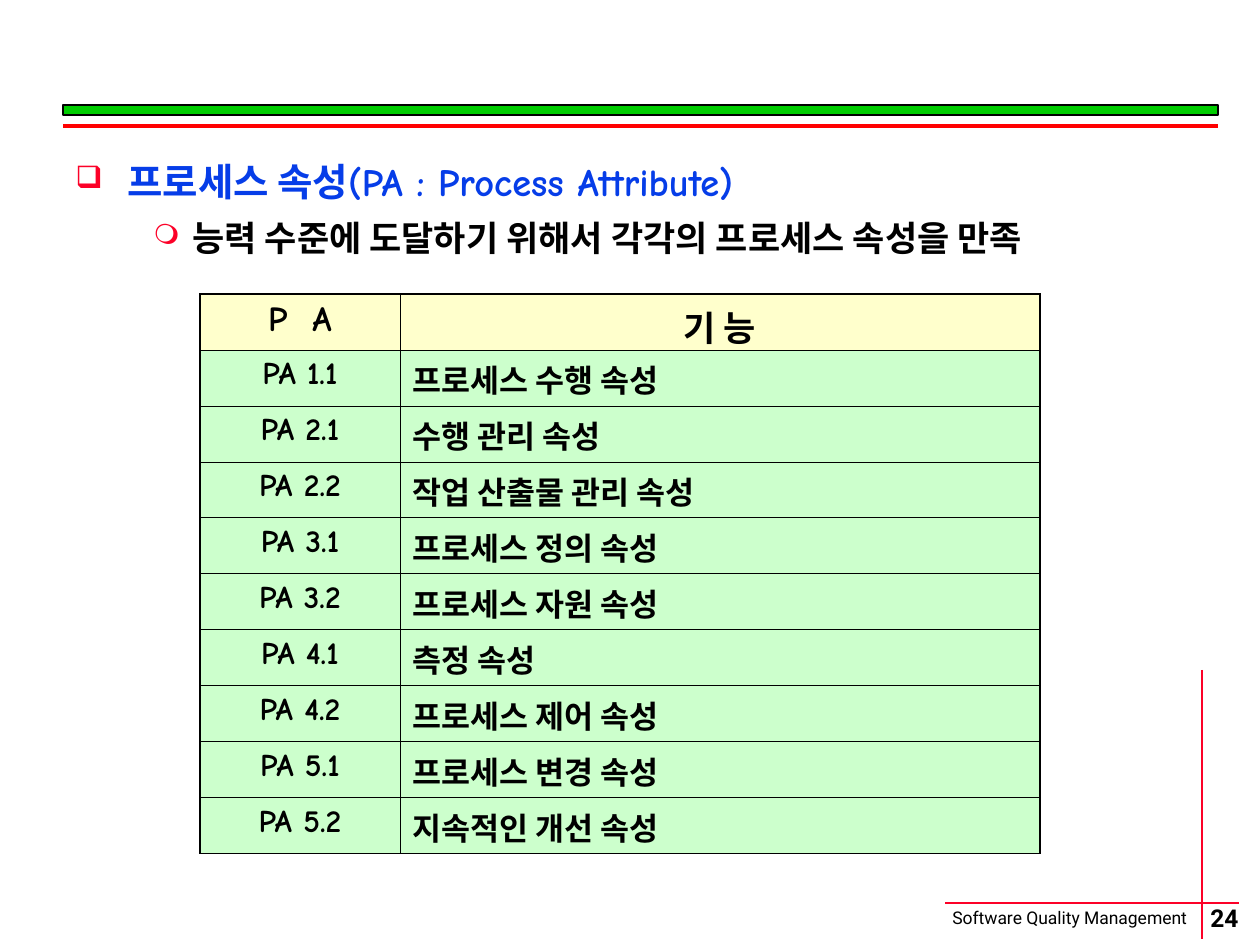
import pptx
import pptx.util
import pptx.dml.color
import pptx.enum.shapes
import pptx.enum.text
import pptx.oxml.ns
from lxml import etree

SCALE = 914400 / 126
COLORS = {"red": "FC0128", "rule": "FF0000", "green": "00CC00", "blue": "063DE8",
          "black": "000000", "head": "FFFFCC", "row": "CCFFCC"}
BODY_FONT = "Comic Neue"
FOOT_FONT = "Roboto"
CENTER = pptx.enum.text.PP_ALIGN.CENTER
LEFT = pptx.enum.text.PP_ALIGN.LEFT
ROWS = [
    ("P  A", "기 능"),
    ("PA 1.1", "프로세스 수행 속성"),
    ("PA 2.1", "수행 관리 속성"),
    ("PA 2.2", "작업 산출물 관리 속성"),
    ("PA 3.1", "프로세스 정의 속성"),
    ("PA 3.2", "프로세스 자원 속성"),
    ("PA 4.1", "측정 속성"),
    ("PA 4.2", "프로세스 제어 속성"),
    ("PA 5.1", "프로세스 변경 속성"),
    ("PA 5.2", "지속적인 개선 속성"),
]


def px(n):
    return pptx.util.Emu(round(n * SCALE))


def rgb(name):
    return pptx.dml.color.RGBColor.from_string(COLORS[name])


def sub(parent, tag, **attrs):
    el = etree.SubElement(parent, pptx.oxml.ns.qn(tag))
    for key, value in attrs.items():
        el.set(key, str(value))
    return el


def style(p, text, size, font, color="black", bold=True):
    p.text = text
    f = p.font
    f.size = pptx.util.Pt(size)
    f.name = font
    f.bold = bold
    f.color.rgb = rgb(color)


def add_line(s, x1, y1, x2, y2, color, width):
    line = s.shapes.add_connector(pptx.enum.shapes.MSO_CONNECTOR.STRAIGHT,
                                  px(x1), px(y1), px(x2), px(y2))
    line.line.color.rgb = rgb(color)
    line.line.width = pptx.util.Pt(width)
    sub(line._element.spPr, "a:effectLst")


def add_label(s, x, y, w, h, text, size, bold):
    tf = s.shapes.add_textbox(px(x), px(y), px(w), px(h)).text_frame
    tf.word_wrap = False
    tf.auto_size = pptx.enum.text.MSO_AUTO_SIZE.SHAPE_TO_FIT_TEXT
    style(tf.paragraphs[0], text, size, FOOT_FONT, bold=bold)
    return tf


def add_footer(s, x, y, w, h):
    add_line(s, x + 5, y + 3, x + w, y + 3, "red", 1)
    add_label(s, x, y + 1, 276, 34, "Software Quality Management", 10, False)
    add_line(s, x + 262, y + h - 269, x + 262, y + h, "red", 1)
    tf = add_label(s, x + 222, y, 125, 35, "24", 14, True)
    tf.margin_left = tf.margin_top = tf.margin_right = tf.margin_bottom = 0
    tf.vertical_anchor = pptx.enum.text.MSO_ANCHOR.MIDDLE
    tf.paragraphs[0].alignment = CENTER


def add_header(s, x, y, w):
    bar = s.shapes.add_shape(pptx.enum.shapes.MSO_SHAPE.RECTANGLE,
                             px(x), px(y), px(w), px(10))
    bar.shadow.inherit = False
    bar.fill.solid()
    bar.fill.fore_color.rgb = rgb("green")
    bar.line.color.rgb = rgb("black")
    bar.line.width = pptx.util.Pt(1.5)
    add_line(s, x, y + 21, x + w, y + 21, "rule", 2.25)


def add_bullet(p, char, margin, hang):
    pPr = p._p.get_or_add_pPr()
    pPr.set("marL", str(px(margin)))
    pPr.set("indent", str(-px(hang)))
    sub(sub(pPr, "a:buClr"), "a:srgbClr", val=COLORS["red"])
    sub(pPr, "a:buSzPct", val=80000)
    sub(pPr, "a:buChar", char=char)


def add_body(s, x, y, w, h):
    tf = s.shapes.add_textbox(px(x), px(y), px(w), px(h)).text_frame
    tf.word_wrap = True
    p = tf.paragraphs[0]
    add_bullet(p, "❑", 52, 52)
    p.line_spacing = 1.1
    style(p, "프로세스 속성(PA : Process Attribute)", 22, BODY_FONT, "blue")
    p = tf.add_paragraph()
    p.level = 1
    add_bullet(p, "❍", 117, 39)
    p.line_spacing = 1.1
    p.space_before = pptx.util.Pt(5)
    style(p, "능력 수준에 도달하기 위해서 각각의 프로세스 속성을 만족", 20, BODY_FONT)


def add_borders(cell, outer):
    tcPr = cell._tc.get_or_add_tcPr()
    for i, side in enumerate("LRTB"):
        width = pptx.util.Pt(1.08 if side in outer else 0.45)
        ln = etree.Element(pptx.oxml.ns.qn("a:ln" + side), w=str(width))
        sub(sub(ln, "a:solidFill"), "a:srgbClr", val=COLORS["black"])
        tcPr.insert(i, ln)


def add_attribute_table(s, x, y, w, h):
    table = s.shapes.add_table(len(ROWS), 2, px(x), px(y), px(w), px(h)).table
    table.horz_banding = False
    table.first_row = False
    table.columns[0].width = px(200)
    table.columns[1].width = px(w - 200)
    for i, row in enumerate(ROWS):
        table.rows[i].height = px(h // len(ROWS))
        for j, text in enumerate(row):
            cell = table.cell(i, j)
            cell.fill.solid()
            cell.fill.fore_color.rgb = rgb("row" if i else "head")
            p = cell.text_frame.paragraphs[0]
            p.alignment = LEFT if i and j else CENTER
            style(p, text, 18 if i else 20, BODY_FONT)
            outer = "LR"[j]
            if i == 0:
                outer += "T"
            if i == len(ROWS) - 1:
                outer += "B"
            add_borders(cell, outer)


def main():
    prs = pptx.Presentation()
    prs.slide_width = px(1260)
    prs.slide_height = px(945)
    s = prs.slides.add_slide(prs.slide_layouts[6])
    add_footer(s, 940, 900, 299, 39)
    add_header(s, 63, 105, 1155)
    add_body(s, 63, 147, 1155, 759)
    add_attribute_table(s, 200, 294, 840, 560)
    prs.save("out.pptx")


if __name__ == "__main__":
    main()
